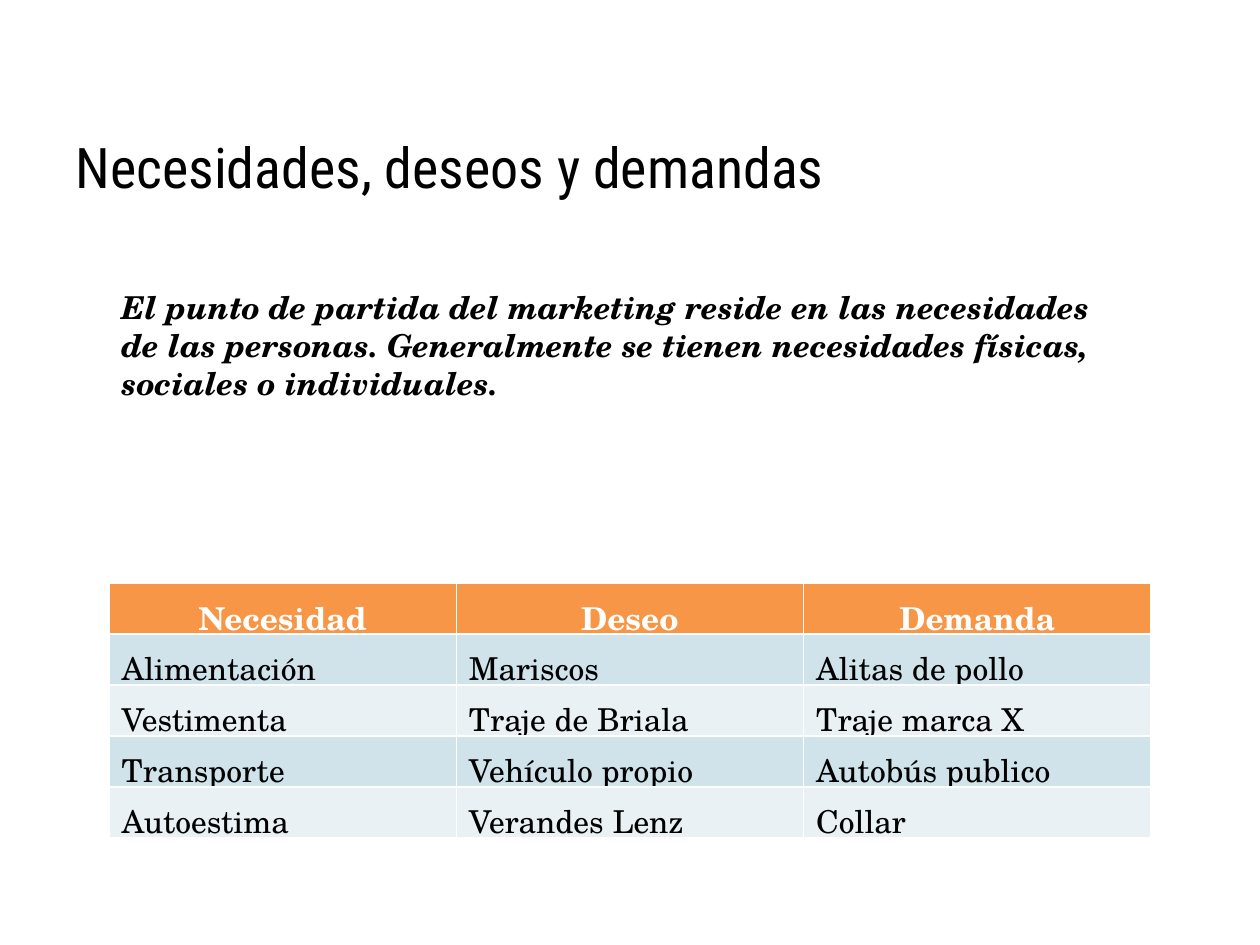
from pptx import Presentation
from pptx.dml.color import RGBColor
from pptx.enum.text import MSO_ANCHOR, PP_ALIGN
from pptx.util import Pt

SCALE = 914400 // 126
HUES = {"ink": "000000", "light": "FFFFFF", "head": "F79646",
        "dark": "D0E3EA", "pale": "E9F1F5"}
HEAD = "Roboto Condensed"
BODY = "TeX Gyre Schola"
ROWS = [
    ["Necesidad", "Deseo", "Demanda"],
    ["Alimentación", "Mariscos", "Alitas de pollo"],
    ["Vestimenta", "Traje de Briala", "Traje marca X"],
    ["Transporte", "Vehículo propio", "Autobús publico"],
    ["Autoestima", "Verandes Lenz", "Collar"],
]


def px(num):
    """Turn pixels into EMU."""
    return num * SCALE


def hue(name):
    """Look up a named colour."""
    return RGBColor.from_string(HUES[name])


def write(frame, text, font=BODY, size=18, ink="ink", bold=False,
          slant=False, align=PP_ALIGN.LEFT):
    """Put formatted text in a frame."""
    frame.word_wrap = True
    par = frame.paragraphs[0]
    par.alignment = align
    run = par.add_run()
    run.text = text
    face = run.font
    face.name, face.size = font, Pt(size)
    face.bold, face.italic = bold, slant
    face.color.rgb = hue(ink)


class Deck:
    """Hold the style and the current slide."""

    def __init__(self, wide, high):
        """Start a deck with one slide."""
        self.show = Presentation()
        self.show.slide_width, self.show.slide_height = px(wide), px(high)
        self.slide = self.show.slides.add_slide(self.show.slide_layouts[5])

    def title(self, text, *box):
        """Fill and place the title."""
        shape = self.slide.shapes.title
        shape.left, shape.top, shape.width, shape.height = map(px, box)
        shape.text_frame.vertical_anchor = MSO_ANCHOR.TOP
        write(shape.text_frame, text, font=HEAD, size=32)

    def text(self, text, *box):
        """Add a bold slanted text box."""
        shape = self.slide.shapes.add_textbox(*map(px, box))
        write(shape.text_frame, text, bold=True, slant=True)

    def table(self, rows, left, top, wide, high):
        """Add a table with a header and banded rows."""
        grid = self.slide.shapes.add_table(
            len(rows), len(rows[0]), px(left), px(top), px(wide), px(high)).table
        for r, row in enumerate(rows):
            head = r == 0
            band = "head" if head else "dark" if r % 2 else "pale"
            for c, word in enumerate(row):
                cell = grid.cell(r, c)
                cell.fill.solid()
                cell.fill.fore_color.rgb = hue(band)
                cell.margin_top, cell.margin_bottom = px(11), px(1)
                write(cell.text_frame, word, bold=head,
                      ink="light" if head else "ink",
                      align=PP_ALIGN.CENTER if head else PP_ALIGN.LEFT)


def main():
    """Build the slide and save it."""
    deck = Deck(1260, 945)
    deck.title("Necesidades, deseos y demandas", 63, 126, 1134, 126)
    deck.text("El punto de partida del marketing reside en las necesidades "
              "de las personas. Generalmente se tienen necesidades físicas, "
              "sociales o individuales.", 109, 282, 1017, 127)
    deck.table(ROWS, 109, 583, 1042, 255)
    deck.show.save("out.pptx")


if __name__ == "__main__":
    main()
